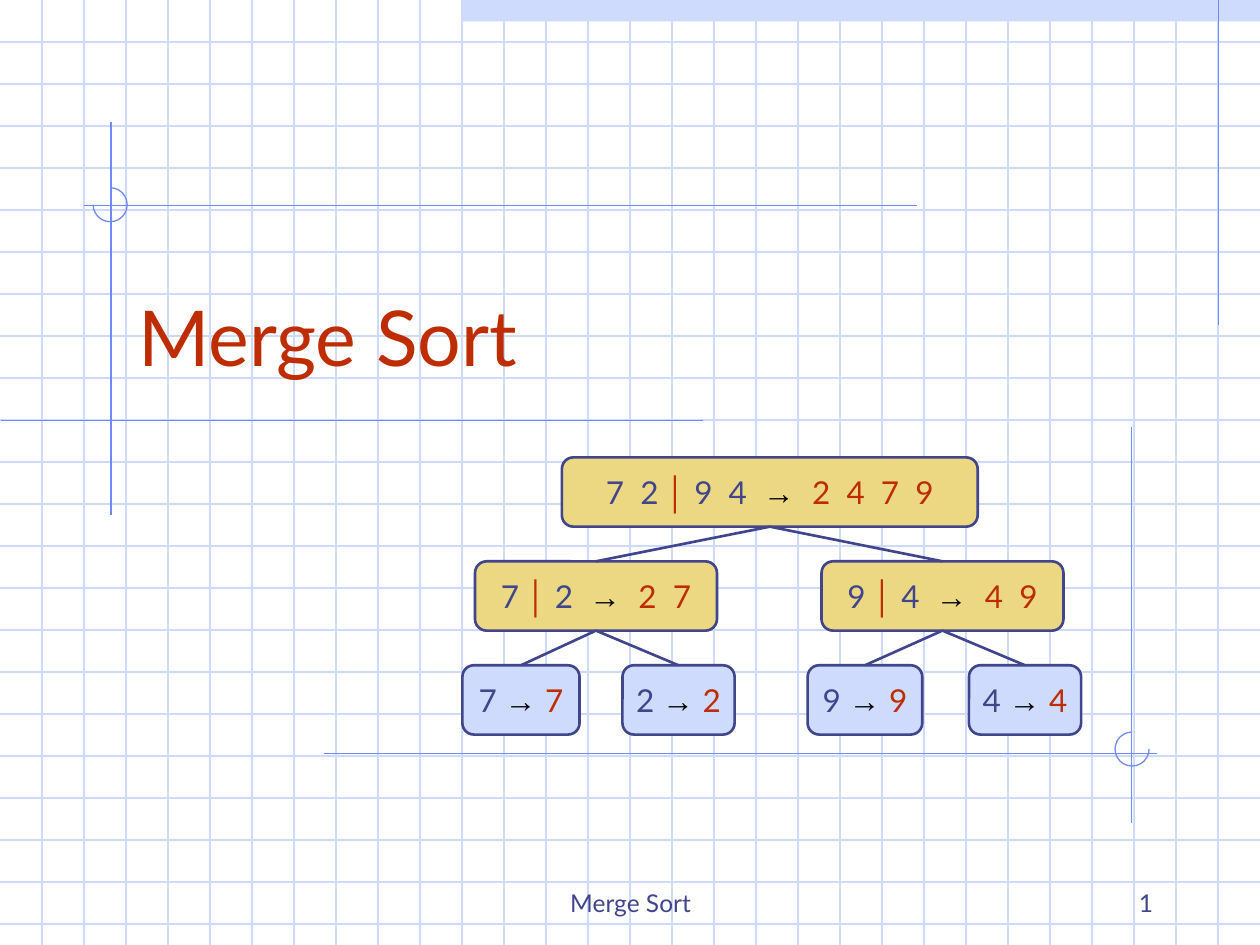
from pptx import Presentation
from pptx.dml.color import RGBColor
from pptx.enum.shapes import MSO_CONNECTOR, MSO_SHAPE
from pptx.enum.text import MSO_ANCHOR, PP_ALIGN
from pptx.oxml.ns import qn
from pptx.util import Inches, Pt
from lxml import etree

STRAIGHT = MSO_CONNECTOR.STRAIGHT
RECT, ROUND, ARC = MSO_SHAPE.RECTANGLE, MSO_SHAPE.ROUNDED_RECTANGLE, MSO_SHAPE.ARC
LEFT, CENTER, RIGHT = PP_ALIGN.LEFT, PP_ALIGN.CENTER, PP_ALIGN.RIGHT
MIDDLE, BOTTOM = MSO_ANCHOR.MIDDLE, MSO_ANCHOR.BOTTOM
TOP_SITE, BOTTOM_SITE = 0, 2

COLORS = {"grid": "CFDBFD", "rule": "6F89F7", "ink": "40458C", "red": "BE2D00",
          "gold": "ECD882", "black": "000000"}
WIDTH, HEIGHT = 10, 7.5
RULE_WIDTH, TREE_WIDTH = 0.75, 1.5

# text, box, size, color, alignment
LABELS = [
    ("Merge Sort", (3.42, 6.83, 3.17, 0.5), 14, "ink", CENTER),
    ("1", (7.17, 6.83, 2.08, 0.5), 14, "ink", RIGHT),
    ("Merge Sort", (1, 1.83, 8.5, 1.25), 44, "red", LEFT),
]
RULES = [
    (9.67, 0, 9.67, 2.58),
    (0.88, 0.97, 0.88, 4.09),
    (0.01, 3.34, 5.58, 3.34),
    (0.67, 1.63, 7.28, 1.63),
    (2.57, 5.98, 9.18, 5.98),
    (8.98, 3.39, 8.98, 6.53),
]
# left, top, start and end angle in degrees
ARCS = [(0.74, 1.49, 270, 180), (8.85, 5.81, 0, 270)]
ARC_SIZE = 0.27

# name: left, width, level, left half, right half, sorted result, parent
NODES = {
    "root": (4.46, 3.3, 0, "7  2", "9  4", "2  4  7  9", None),
    "72": (3.77, 1.92, 1, "7", "2", "2  7", "root"),
    "94": (6.52, 1.92, 1, "9", "4", "4  9", "root"),
    "7": (3.67, 0.93, 2, "7", "", "7", "72"),
    "2": (4.94, 0.89, 2, "2", "", "2", "72"),
    "9": (6.41, 0.91, 2, "9", "", "9", "94"),
    "4": (7.69, 0.89, 2, "4", "", "4", "94"),
}
TREE_TOP, LEVEL_STEP, NODE_HEIGHT = 3.63, 0.825, 0.55


def rgb(name):
    """Return the named color."""
    return RGBColor.from_string(COLORS[name])


def add_line(shapes, ends, color, width):
    """Draw a straight line without a shadow."""
    line = shapes.add_connector(STRAIGHT, *(Inches(v) for v in ends))
    line.line.color.rgb = rgb(color)
    line.line.width = Pt(width)
    etree.SubElement(line._element.spPr, qn("a:effectLst"))
    return line


def add_shape(shapes, kind, box, fill=None, line=None, width=RULE_WIDTH):
    """Add a preset shape with an optional fill and outline."""
    sp = shapes.add_shape(kind, *(Inches(v) for v in box))
    sp.shadow.inherit = False
    if fill:
        sp.fill.solid()
        sp.fill.fore_color.rgb = rgb(fill)
    else:
        sp.fill.background()
    if line:
        sp.line.color.rgb = rgb(line)
        sp.line.width = Pt(width)
    else:
        sp.line.fill.background()
    return sp


def add_run(p, text, size, color, font="Lato", bold=False):
    """Append one formatted run."""
    r = p.add_run()
    r.text = text
    r.font.size, r.font.name, r.font.bold = Pt(size), font, bold
    r.font.color.rgb = rgb(color)


def add_label(shapes, text, box, size, color, align):
    """Add a bottom-anchored text box."""
    tf = shapes.add_textbox(*(Inches(v) for v in box)).text_frame
    tf.word_wrap = True
    tf.vertical_anchor = BOTTOM
    p = tf.paragraphs[0]
    p.alignment = align
    add_run(p, text, size, color)


def add_node(shapes, left, width, level, first, second, result):
    """Add one merge-sort step; a leaf has no second half."""
    box = (left, TREE_TOP + level * LEVEL_STEP, width, NODE_HEIGHT)
    sp = add_shape(shapes, ROUND, box, "gold" if second else "grid", "ink", TREE_WIDTH)
    tf = sp.text_frame
    tf.word_wrap = False
    tf.vertical_anchor = MIDDLE
    p = tf.paragraphs[0]
    p.alignment = CENTER
    add_run(p, first + " ", 18, "ink")
    if second:
        add_run(p, "│", 18, "red", "Arial", True)
        add_run(p, f" {second}  ", 18, "ink")
    add_run(p, "→  " if second else "→ ", 18, "black", "Arial", True)
    add_run(p, result, 18, "red")
    return sp


def add_background(shapes):
    """Draw the grid paper, top band, rules and corner arcs."""
    add_shape(shapes, RECT, (3.67, 0, 6.33, 0.17), "grid")
    for i in range(1, 23):
        add_line(shapes, (0, i / 3, WIDTH, i / 3), "grid", RULE_WIDTH)
    for i in range(1, 30):
        add_line(shapes, (i / 3, 0, i / 3, HEIGHT), "grid", RULE_WIDTH)
    for ends in RULES:
        add_line(shapes, ends, "rule", RULE_WIDTH)
    for left, top, start, end in ARCS:
        arc = add_shape(shapes, ARC, (left, top, ARC_SIZE, ARC_SIZE), line="rule")
        # adjustments count 100000ths, angles 60000ths of a degree
        arc.adjustments[0], arc.adjustments[1] = start * 0.6, end * 0.6


def add_tree(shapes):
    """Draw the recursion tree and join each node to its parent."""
    boxes = {name: add_node(shapes, *node[:-1]) for name, node in NODES.items()}
    for name, node in NODES.items():
        if node[-1]:
            edge = add_line(shapes, (0, 0, 0, 0), "ink", TREE_WIDTH)
            edge.begin_connect(boxes[node[-1]], BOTTOM_SITE)
            edge.end_connect(boxes[name], TOP_SITE)


prs = Presentation()
prs.slide_width, prs.slide_height = Inches(WIDTH), Inches(HEIGHT)
slide = prs.slides.add_slide(prs.slide_layouts[6])
add_background(slide.shapes)
for label in LABELS:
    add_label(slide.shapes, *label)
add_tree(slide.shapes)
prs.save("out.pptx")
